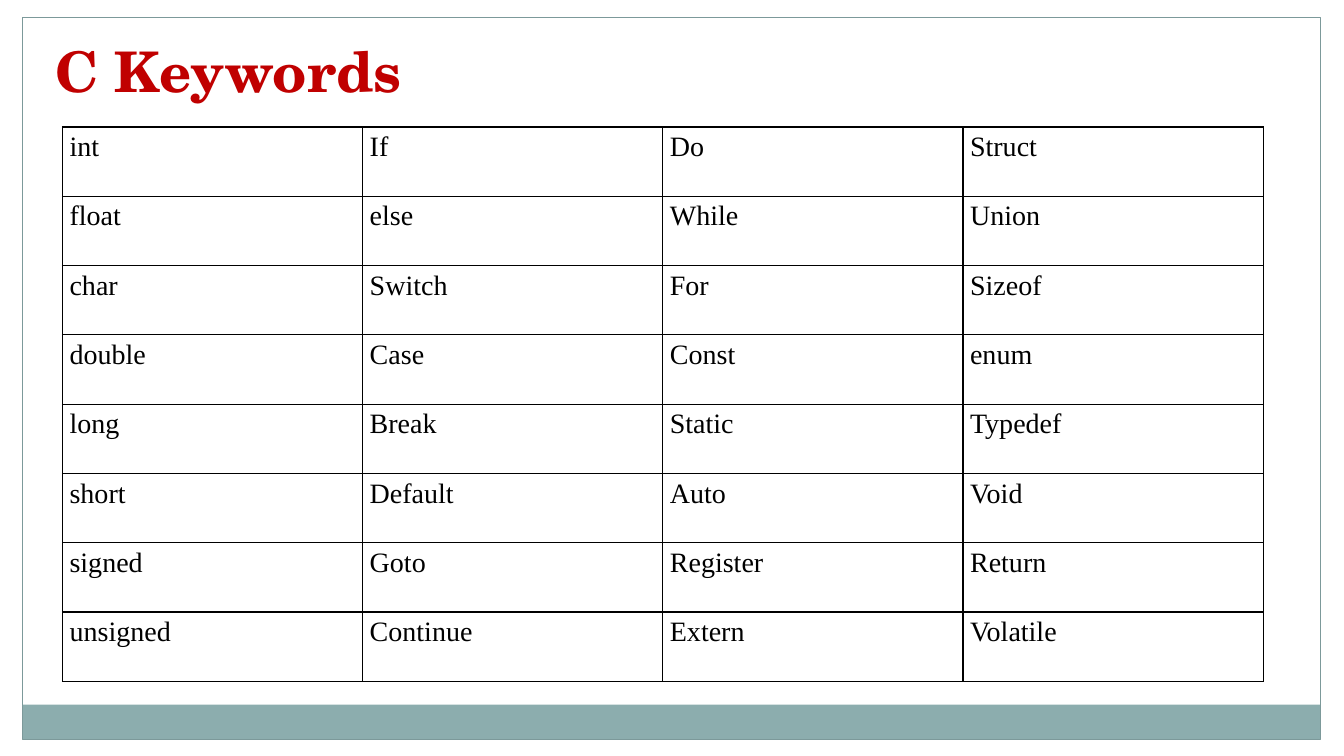
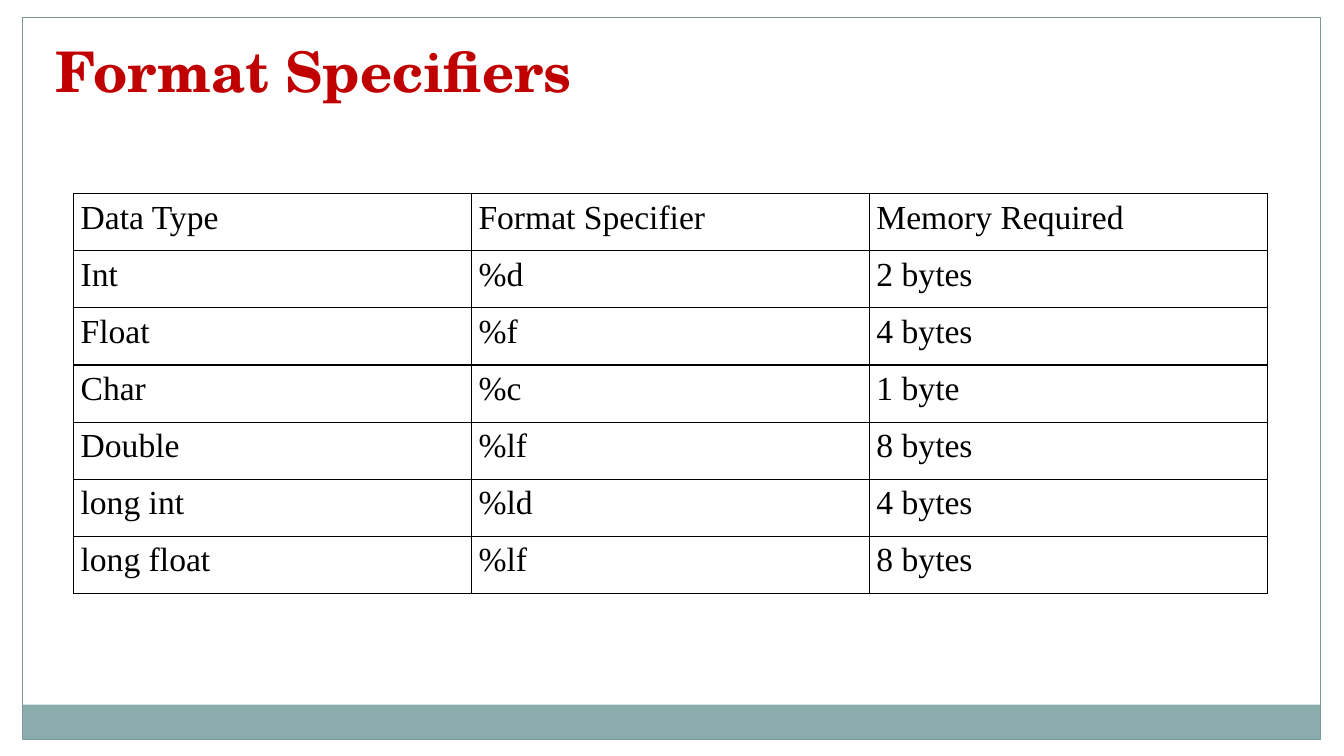
from dataclasses import dataclass

from pptx import Presentation
from pptx.dml.color import RGBColor as Rgb
from pptx.enum.shapes import MSO_SHAPE as Form
from pptx.enum.text import MSO_AUTO_SIZE as Fit
from pptx.oxml import parse_xml
from pptx.oxml.ns import nsdecls
from pptx.slide import Slide
from pptx.util import Pt

PX = 9144  # EMU in one px, 100 px to the inch
WIDE, HIGH = 1333, 750


@dataclass(frozen=True)
class Theme:
    paper: Rgb = Rgb.from_string("FFFFFF")
    band: Rgb = Rgb.from_string("8CADAE")
    edge: Rgb = Rgb.from_string("7C999A")
    head: Rgb = Rgb.from_string("C00000")
    ink: Rgb = Rgb.from_string("000000")
    serif: str = "TeX Gyre Schola"
    body: str = "Times New Roman"
    big: int = 40
    thin: float = 0.75
    rule: int = 1
    lead: float = 1.15


@dataclass(frozen=True)
class Box:
    left: int
    top: int
    width: int
    height: int

    def emu(self) -> tuple[int, ...]:
        return tuple(n * PX for n in (self.left, self.top, self.width, self.height))


@dataclass(frozen=True)
class Rect:
    box: Box
    fill: Rgb | None = None
    line: Rgb | None = None


@dataclass(frozen=True)
class Page:
    title: str
    span: int
    grid: Box
    size: int
    rows: list[list[str]]


LOOK = Theme()

# Margins, band and frame, from back to front
DECOR = [
    Rect(Box(0, 0, WIDE, 17), fill=LOOK.paper),
    Rect(Box(WIDE - 22, 0, 22, HIGH), fill=LOOK.paper),
    Rect(Box(0, 0, 22, HIGH), fill=LOOK.paper),
    Rect(Box(22, 699, 1288, 34), fill=LOOK.band),
    Rect(Box(22, 17, 1288, 717), line=LOOK.edge),
]

PAGES = [
    Page("C Keywords", 909, Box(62, 126, 1191, 550), 20, [
        ["int", "If", "Do", "Struct"],
        ["float", "else", "While", "Union"],
        ["char", "Switch", "For", "Sizeof"],
        ["double", "Case", "Const", "enum"],
        ["long", "Break", "Static", "Typedef"],
        ["short", "Default", "Auto", "Void"],
        ["signed", "Goto", "Register", "Return"],
        ["unsigned", "Continue", "Extern", "Volatile"],
    ]),
    Page("Format Specifiers", 1201, Box(73, 192, 1184, 397), 24, [
        ["Data Type", "Format Specifier", "Memory Required"],
        ["Int", "%d", "2 bytes"],
        ["Float", "%f", "4 bytes"],
        ["Char", "%c", "1 byte"],
        ["Double", "%lf", "8 bytes"],
        ["long int", "%ld", "4 bytes"],
        ["long float", "%lf", "8 bytes"],
    ]),
]


def apply(item: object, style: dict) -> None:
    for key, value in style.items():
        setattr(item, key, value)


def write(frame, text: str, face: str, size: int, tint: Rgb, bold: bool = False):
    para = frame.paragraphs[0]
    run = para.add_run()
    run.text = text
    apply(run.font, {"name": face, "size": Pt(size), "bold": bold})
    run.font.color.rgb = tint
    return para


def add_rect(slide: Slide, rect: Rect) -> None:
    shape = slide.shapes.add_shape(Form.RECTANGLE, *rect.box.emu())
    shape.shadow.inherit = False
    for part, tint in ((shape.fill, rect.fill), (shape.line.fill, rect.line)):
        if tint is None:
            part.background()
        else:
            part.solid()
            part.fore_color.rgb = tint
    if rect.line is not None:
        shape.line.width = Pt(LOOK.thin)


def add_title(slide: Slide, text: str, span: int) -> None:
    frame = slide.shapes.add_textbox(*Box(45, 31, span, 77).emu()).text_frame
    apply(frame, {"word_wrap": True, "auto_size": Fit.SHAPE_TO_FIT_TEXT})
    write(frame, text, LOOK.serif, LOOK.big, LOOK.head, True)


def add_edges(cell) -> None:
    props = cell._tc.get_or_add_tcPr()
    for spot, side in enumerate(("lnL", "lnR", "lnT", "lnB")):
        props.insert(spot, parse_xml(
            f'<a:{side} {nsdecls("a")} w="{Pt(LOOK.rule)}"><a:solidFill>'
            f'<a:srgbClr val="{LOOK.ink}"/></a:solidFill></a:{side}>'))


def add_grid(slide: Slide, page: Page) -> None:
    rows = page.rows
    table = slide.shapes.add_table(len(rows), len(rows[0]), *page.grid.emu()).table
    apply(table, {"first_row": False, "horz_banding": False})
    pad = {"margin_left": 7 * PX, "margin_right": 7 * PX,
           "margin_top": 0, "margin_bottom": 0}
    for r, row in enumerate(rows):
        for c, text in enumerate(row):
            cell = table.cell(r, c)
            apply(cell, pad)
            cell.fill.background()
            add_edges(cell)
            para = write(cell.text_frame, text, LOOK.body, page.size, LOOK.ink)
            para.line_spacing = LOOK.lead


def main() -> None:
    deck = Presentation()
    apply(deck, {"slide_width": WIDE * PX, "slide_height": HIGH * PX})
    for page in PAGES:
        slide = deck.slides.add_slide(deck.slide_layouts[6])
        # Shared decor
        for rect in DECOR:
            add_rect(slide, rect)
        # Title and table
        add_title(slide, page.title, page.span)
        add_grid(slide, page)
    deck.save("out.pptx")


if __name__ == "__main__":
    main()
